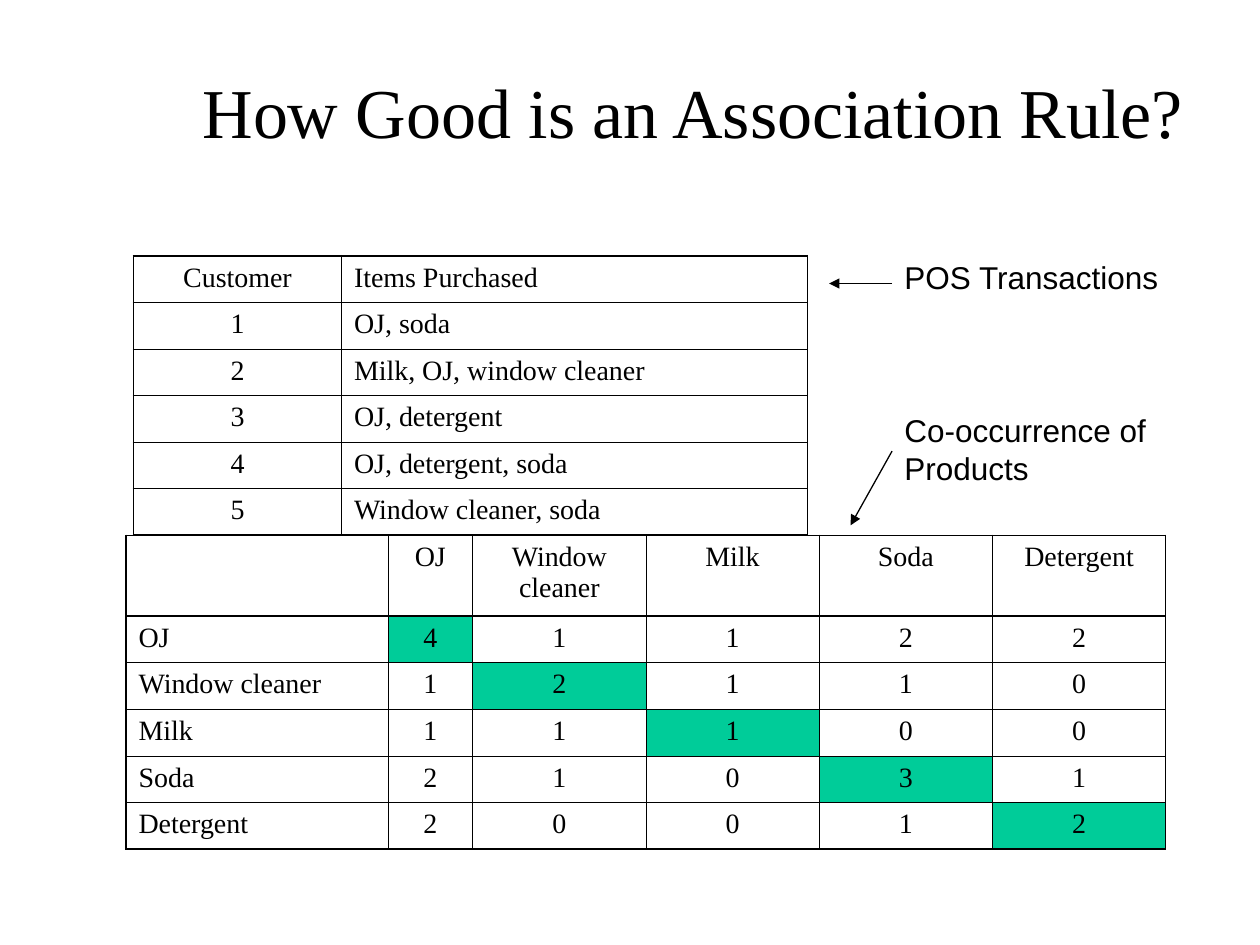
import pptx
import pptx.util
import pptx.dml.color
import pptx.enum.shapes
import pptx.enum.text
import pptx.oxml.ns
from lxml import etree

Inches, Pt = pptx.util.Inches, pptx.util.Pt
ALIGN = pptx.enum.text.PP_ALIGN
BLACK = pptx.dml.color.RGBColor(0x00, 0x00, 0x00)
GREEN = pptx.dml.color.RGBColor(0x00, 0xCC, 0x99)
SERIF, SANS = "Times New Roman", "Arial"
THIN, THICK = 0.45, 1.08
ROW_HEIGHT = 0.37

TITLE = "How Good is an Association Rule?"
# Label lines with the space before each, in points
LABELS = [("POS Transactions", 0), ("Co-occurrence of", 66), ("Products", 0)]
ARROWS = [((7.08, 2.25), (6.58, 2.25)), ((7.08, 3.58), (6.75, 4.17))]

PURCHASES = [
    ("Customer", "Items Purchased"),
    ("1", "OJ, soda"),
    ("2", "Milk, OJ, window cleaner"),
    ("3", "OJ, detergent"),
    ("4", "OJ, detergent, soda"),
    ("5", "Window cleaner, soda"),
]
PRODUCTS = ["OJ", "Window cleaner", "Milk", "Soda", "Detergent"]
COUNTS = [
    (4, 1, 1, 2, 2),
    (1, 2, 1, 1, 0),
    (1, 1, 1, 0, 0),
    (2, 1, 0, 3, 1),
    (2, 0, 0, 1, 2),
]
CO_OCCURRENCE = [["", *PRODUCTS]] + [
    [product, *map(str, counts)] for product, counts in zip(PRODUCTS, COUNTS)
]


def add_span(para, text, size, font):
    span = para.add_run()
    span.text = text
    span.font.size = Pt(size)
    span.font.name = font
    span.font.color.rgb = BLACK


def add_border(cell, side, width):
    """Draw one border; side is L, R, T or B, called in that order."""
    properties = cell._tc.get_or_add_tcPr()
    line = etree.SubElement(properties, pptx.oxml.ns.qn(f"a:ln{side}"), w=str(Pt(width)))
    fill = etree.SubElement(line, pptx.oxml.ns.qn("a:solidFill"))
    etree.SubElement(fill, pptx.oxml.ns.qn("a:srgbClr"), val=str(BLACK))


def add_grid(page, left, top, rows, widths, heights, left_column,
             header_rule=False, diagonal=False):
    """Add a table with a thick frame, thin inner lines and one left-aligned column."""
    table = page.shapes.add_table(
        len(rows), len(widths), Inches(left), Inches(top),
        Inches(sum(widths)), Inches(sum(heights))).table
    table.first_row = table.horz_banding = False
    for column, width in zip(table.columns, widths):
        column.width = Inches(width)
    for row, height in zip(table.rows, heights):
        row.height = Inches(height)

    last_row, last_column = len(rows) - 1, len(widths) - 1
    for r, row in enumerate(rows):
        for c, text in enumerate(row):
            cell = table.cell(r, c)
            thick = {
                "L": c == 0,
                "R": c == last_column,
                "T": r == 0 or (header_rule and r == 1),
                "B": r == last_row or (header_rule and r == 0),
            }
            for side, is_thick in thick.items():
                add_border(cell, side, THICK if is_thick else THIN)
            if diagonal and r == c > 0:
                cell.fill.solid()
                cell.fill.fore_color.rgb = GREEN
            else:
                cell.fill.background()
            para = cell.text_frame.paragraphs[0]
            para.alignment = ALIGN.LEFT if c == left_column else ALIGN.CENTER
            para.space_before = Pt(4)
            if text:
                add_span(para, text, 16, SERIF)


def add_arrow(page, start, end):
    arrow = page.shapes.add_connector(
        pptx.enum.shapes.MSO_CONNECTOR.STRAIGHT,
        *map(Inches, start), *map(Inches, end))
    arrow.line.color.rgb = BLACK
    arrow.line.width = Pt(0.75)
    etree.SubElement(arrow.line._get_or_add_ln(), pptx.oxml.ns.qn("a:tailEnd"),
                     type="triangle")
    etree.SubElement(arrow._element.spPr, pptx.oxml.ns.qn("a:effectLst"))


def main():
    deck = pptx.Presentation()
    deck.slide_width, deck.slide_height = Inches(10), Inches(7.5)
    page = deck.slides.add_slide(deck.slide_layouts[6])

    title = page.shapes.add_textbox(Inches(1), Inches(0.25), Inches(9), Inches(1.25))
    title.text_frame.word_wrap = True
    title.text_frame.vertical_anchor = pptx.enum.text.MSO_ANCHOR.MIDDLE
    title_para = title.text_frame.paragraphs[0]
    title_para.alignment = ALIGN.CENTER
    add_span(title_para, TITLE, 40, SERIF)

    add_grid(page, 1.06, 2.03, PURCHASES, [1.65, 3.7], [ROW_HEIGHT] * 6, left_column=1)
    add_grid(page, 1, 4.25, CO_OCCURRENCE, [2.08, 0.67, 1.38, 1.37, 1.38, 1.37],
             [0.64] + [ROW_HEIGHT] * 5, left_column=0, header_rule=True, diagonal=True)

    labels = page.shapes.add_textbox(Inches(7.08), Inches(2), Inches(2.23), Inches(1.9))
    frame = labels.text_frame
    frame.word_wrap = False
    for i, (text, space) in enumerate(LABELS):
        para = frame.add_paragraph() if i else frame.paragraphs[0]
        para.space_before = Pt(space)
        add_span(para, text, 18, SANS)

    for start, end in ARROWS:
        add_arrow(page, start, end)

    deck.save("out.pptx")


if __name__ == "__main__":
    main()
